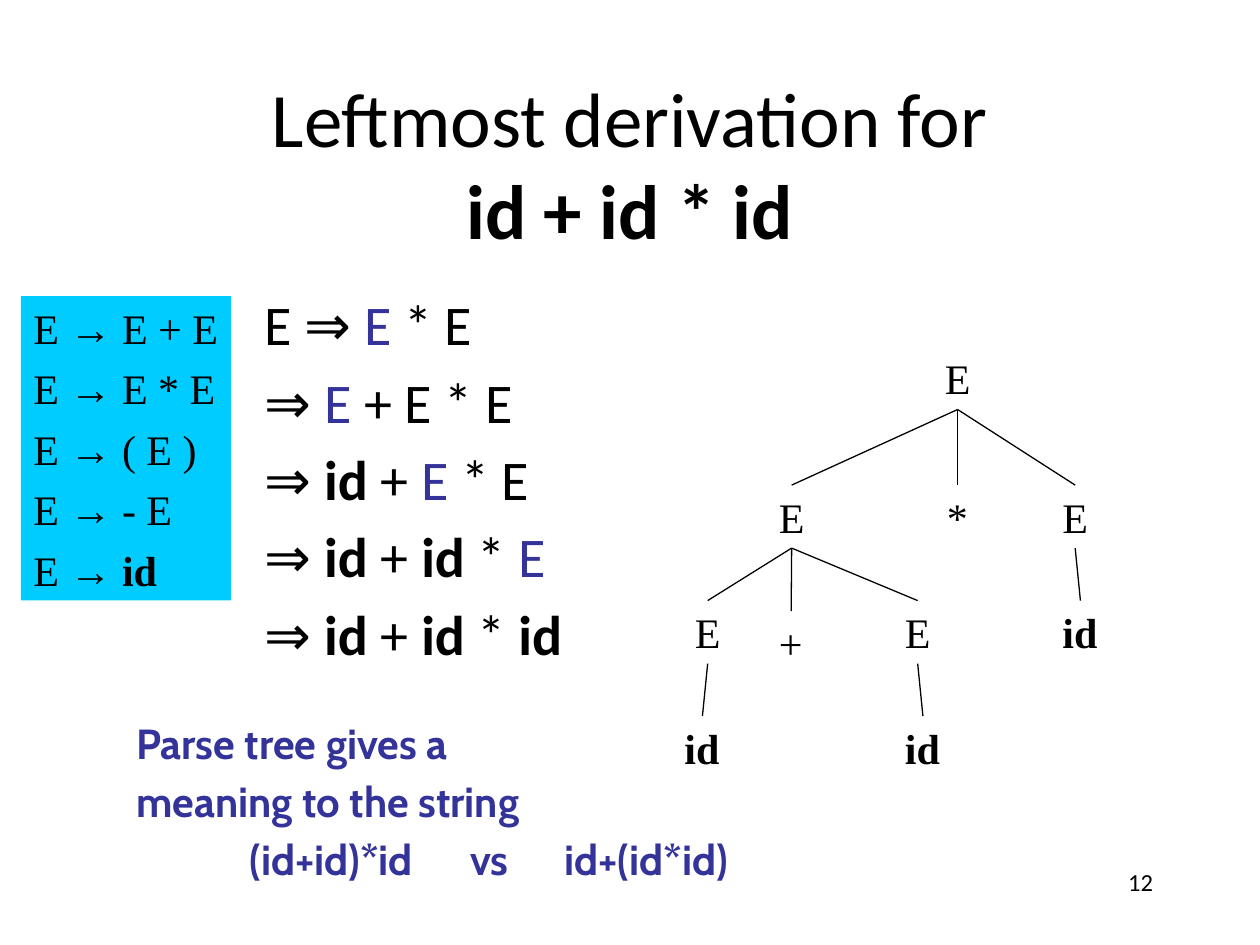
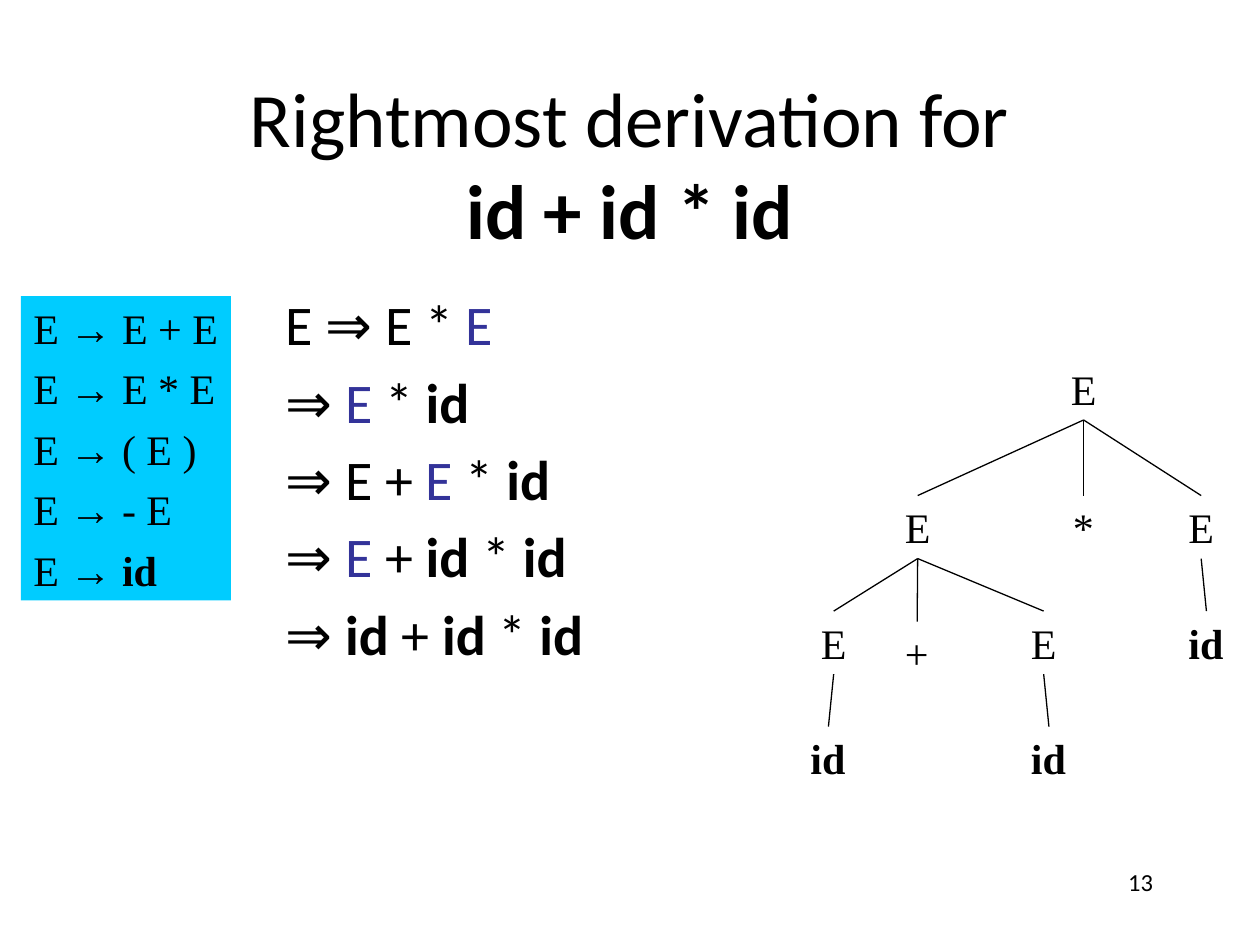
import lxml.etree
import pptx
import pptx.dml.color
import pptx.enum.shapes
import pptx.enum.text
import pptx.oxml.ns
import pptx.util

COLS, ROWS = 120, 90
WIDTH, HEIGHT = pptx.util.Inches(10), pptx.util.Inches(7.5)
BLACK, BLUE, CYAN = "000000", "333399", "00CCFF"
ALIGN = pptx.enum.text.PP_ALIGN
ANCHOR = pptx.enum.text.MSO_ANCHOR

TITLE = {"name": "Calibri", "size": pptx.util.Pt(44), "color": BLACK}
BODY = {"name": "Calibri", "size": pptx.util.Pt(32), "color": BLACK}
NUMBER = {"name": "Calibri", "size": pptx.util.Pt(14), "color": BLACK}
SERIF = {"name": "Times New Roman", "size": pptx.util.Pt(24), "color": BLACK}
CAPTION = {"name": "Cabin", "size": pptx.util.Pt(24), "color": BLUE, "bold": True}
TOKENS = {"id": {"bold": True}, "→": {"bold": True}, "[E]": {"color": BLUE}}

RULES = ["E → E + E", "E → E * E", "E → ( E )", "E → - E", "E → id"]
NODE_WIDTHS = {"E": 4.8, "*": 4.4, "+": 4.7, "id": 5.8}
NODE_HEIGHT = 6
TREE_NODES = {
    "root": ("E", 24.8, 0, None),
    "right": ("E", 36, 13.2, "root"),
    "times": ("*", 25, 13.2, "root"),
    "left": ("E", 9, 13.2, "root"),
    "right id": ("id", 36, 24.2, "right"),
    "first": ("E", 1, 24.2, "left"),
    "first id": ("id", 0, 35.2, "first"),
    "plus": ("+", 9, 25.2, "left"),
    "second": ("E", 21, 24.2, "left"),
    "second id": ("id", 21, 35.2, "second"),
}
SLIDES = [
    {
        "title": "Leftmost derivation for",
        "number": "12",
        "steps_box": (24, 27, 38, 40),
        "steps": ["E ⇒ [E] * E", "⇒ [E] + E * E", "⇒ id + [E] * E",
                  "⇒ id + id * [E]", "⇒ id + id * id"],
        "tree_at": (64, 33),
        "caption": ["Parse tree gives a", "meaning to the string",
                    "\t(id+id)*id\tvs\tid+(id*id)"],
    },
    {
        "title": "Rightmost derivation for",
        "number": "13",
        "steps_box": (26, 27, 36, 42),
        "steps": ["E ⇒ E * [E]", "⇒ [E] * id", "⇒ E + [E] * id",
                  "⇒ [E] + id * id", "⇒ id + id * id"],
        "tree_at": (76, 34),
    },
]


def rgb(value):
    return pptx.dml.color.RGBColor.from_string(value)


def x(cols):
    return round(WIDTH * cols / COLS)


def y(rows):
    return round(HEIGHT * rows / ROWS)


def place(box):
    left, top, width, height = box
    return x(left), y(top), x(width), y(height)


def add_run(p, text, fmt):
    r = p.add_run()
    r.text = text
    for key, value in fmt.items():
        if key == "color":
            r.font.color.rgb = rgb(value)
        else:
            setattr(r.font, key, value)


def add_text(shapes, box, wrap=True, anchor=ANCHOR.TOP):
    tf = shapes.add_textbox(*place(box)).text_frame
    tf.word_wrap = wrap
    tf.vertical_anchor = anchor
    return tf


def add_lines(tf, lines, gap):
    for i, line in enumerate(lines):
        p = tf.add_paragraph() if i else tf.paragraphs[0]
        p.alignment = ALIGN.LEFT
        if i:
            p.space_before = pptx.util.Pt(gap)
        yield p, line


def add_grammar_lines(tf, lines, fmt):
    for p, line in add_lines(tf, lines, 5.8):
        tokens = line.split()
        for i, token in enumerate(tokens, 1):
            space = " " if i < len(tokens) else ""
            add_run(p, token.strip("[]") + space, {**fmt, **TOKENS.get(token, {})})


def add_title(s, box, text):
    p = add_text(s.shapes, box, anchor=ANCHOR.MIDDLE).paragraphs[0]
    p.alignment = ALIGN.CENTER
    add_run(p, text, TITLE)
    p.add_line_break()
    add_run(p, "id + id * id", {**TITLE, "bold": True})


def add_number(s, box, text):
    p = add_text(s.shapes, box).paragraphs[0]
    p.alignment = ALIGN.RIGHT
    add_run(p, text, NUMBER)


def add_rules(s, box):
    sp = s.shapes.add_shape(pptx.enum.shapes.MSO_SHAPE.RECTANGLE, *place(box))
    sp.shadow.inherit = False
    sp.fill.solid()
    sp.fill.fore_color.rgb = rgb(CYAN)
    sp.line.fill.background()
    tf = sp.text_frame
    tf.word_wrap = False
    tf.vertical_anchor = ANCHOR.TOP
    add_grammar_lines(tf, RULES, SERIF)


def add_caption(s, box, lines):
    for p, line in add_lines(add_text(s.shapes, box), lines, 4.6):
        add_run(p, line, CAPTION)
        if "\t" in line:
            qn = pptx.oxml.ns.qn
            tabs = lxml.etree.SubElement(p._p.get_or_add_pPr(), qn("a:tabLst"))
            for stop in (10.8, 31.8, 40.8):
                lxml.etree.SubElement(tabs, qn("a:tab"), pos=str(x(stop)), algn="l")


def add_edge(shapes, start, end):
    c = shapes.add_connector(pptx.enum.shapes.MSO_CONNECTOR.STRAIGHT,
                             x(start[0]), y(start[1]), x(end[0]), y(end[1]))
    c.line.width = pptx.util.Pt(0.75)
    c.line.color.rgb = rgb(BLACK)
    lxml.etree.SubElement(c._element.spPr, pptx.oxml.ns.qn("a:effectLst"))


def add_tree(s, left, top):
    shapes = s.shapes.add_group_shape().shapes
    centers = {}
    for name, (text, col, row, parent) in TREE_NODES.items():
        width = NODE_WIDTHS[text]
        node_top = top + row
        centers[name] = (left + col + width / 2, node_top)
        tf = add_text(shapes, (left + col, node_top, width, NODE_HEIGHT), wrap=False)
        add_run(tf.paragraphs[0], text, {**SERIF, **TOKENS.get(text, {})})
        if parent:
            parent_x, parent_top = centers[parent]
            add_edge(shapes, (parent_x, parent_top + NODE_HEIGHT), centers[name])


def add_derivation_slide(prs, data):
    s = prs.slides.add_slide(prs.slide_layouts[6])
    add_title(s, (9, 8, 102, 15), data["title"])
    add_grammar_lines(add_text(s.shapes, data["steps_box"]), data["steps"], BODY)
    add_number(s, (86, 82, 25, 6), data["number"])
    add_tree(s, *data["tree_at"])
    add_rules(s, (2, 28.2, 20, 29))
    if "caption" in data:
        add_caption(s, (11.8, 67.7, 66, 9.6), data["caption"])


def main():
    prs = pptx.Presentation()
    prs.slide_width, prs.slide_height = WIDTH, HEIGHT
    for data in SLIDES:
        add_derivation_slide(prs, data)
    prs.save("out.pptx")


if __name__ == "__main__":
    main()
